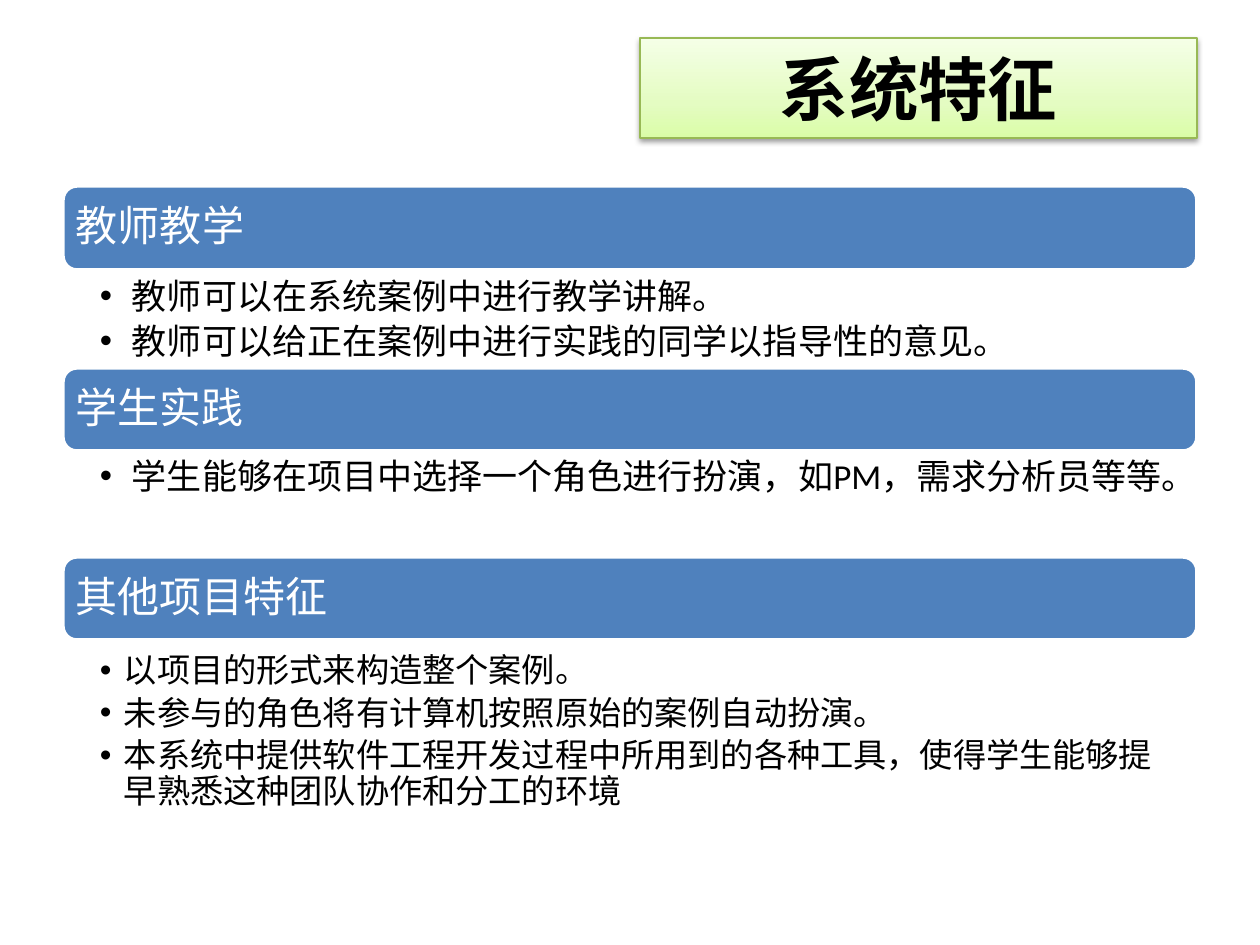
from dataclasses import dataclass

from pptx import Presentation
from pptx.dml.color import RGBColor
from pptx.enum.shapes import MSO_SHAPE
from pptx.enum.text import MSO_ANCHOR, PP_ALIGN
from pptx.oxml import parse_xml
from pptx.oxml.ns import nsdecls
from pptx.slide import Slide
from pptx.text.text import TextFrame
from pptx.util import Emu, Pt

PIXEL = 914400 // 126
LEFT, WIDTH = 63, 1134
FONT = "Calibri"
BLACK, WHITE, BLUE, GREEN = "000000", "FFFFFF", "4F81BD", "98B955"
TITLE_STOPS = [(0, "DAFDA7"), (35, "E4FCC2"), (100, "F5FFE7")]


@dataclass
class Section:
    heading: str
    heading_top: int
    heading_height: int
    body_top: int
    body_height: int
    right_margin: int
    indent: int
    size: int
    points: list[str]


SECTIONS = [
    Section("教师教学", 186, 84, 275, 115, 20, 32, 20, [
        "教师可以在系统案例中进行教学讲解。",
        "教师可以给正在案例中进行实践的同学以指导性的意见。",
    ]),
    Section("学生实践", 368, 83, 455, 115, 20, 32, 20, [
        "学生能够在项目中选择一个角色进行扮演，如PM，需求分析员等等。",
    ]),
    Section("其他项目特征", 557, 83, 650, 181, 24, 24, 19, [
        "以项目的形式来构造整个案例。",
        "未参与的角色将有计算机按照原始的案例自动扮演。",
        "本系统中提供软件工程开发过程中所用到的各种工具，使得学生能够提早熟悉这种团队协作和分工的环境",
    ]),
]


def px(value: int) -> Emu:
    return Emu(value * PIXEL)


def color(value: str) -> RGBColor:
    return RGBColor.from_string(value)


def set_font(paragraph, size: float, value: str, bold: bool = False) -> None:
    font = paragraph.font
    font.name, font.size, font.bold = FONT, Pt(size), bold
    font.color.rgb = color(value)


def set_margins(frame: TextFrame, left: int, top: int, right: int, bottom: int) -> None:
    frame.margin_left, frame.margin_top = px(left), px(top)
    frame.margin_right, frame.margin_bottom = px(right), px(bottom)


def add_bullet(paragraph, indent: int) -> None:
    properties = paragraph._p.get_or_add_pPr()
    properties.set("marL", str(px(indent)))
    properties.set("indent", str(-px(indent)))
    properties.append(parse_xml(f'<a:buFont {nsdecls("a")} typeface="Arial"/>'))
    properties.append(parse_xml(f'<a:buChar {nsdecls("a")} char="•"/>'))


def format_title(slide: Slide) -> None:
    title = slide.shapes.title
    title.left, title.top, title.width, title.height = map(px, (640, 38, 557, 100))
    title.line.color.rgb = color(GREEN)
    title.line.width = Pt(0.75)
    stops = "".join(
        f'<a:gs pos="{position * 1000}"><a:srgbClr val="{value}"/></a:gs>'
        for position, value in TITLE_STOPS
    )
    title.line._ln.addprevious(parse_xml(
        f'<a:gradFill {nsdecls("a")} rotWithShape="1"><a:gsLst>{stops}</a:gsLst>'
        '<a:lin ang="16200000" scaled="1"/></a:gradFill>'
    ))
    title.line._ln.addnext(parse_xml(
        f'<a:effectLst {nsdecls("a")}><a:outerShdw blurRad="{Pt(3.1)}" dist="{Pt(1.6)}" '
        f'dir="5400000" rotWithShape="0"><a:srgbClr val="{BLACK}"><a:alpha val="38000"/>'
        '</a:srgbClr></a:outerShdw></a:effectLst>'
    ))
    frame = title.text_frame
    frame.text = "系统特征"
    frame.vertical_anchor = MSO_ANCHOR.MIDDLE
    paragraph = frame.paragraphs[0]
    paragraph.alignment = PP_ALIGN.CENTER
    set_font(paragraph, 39.6, BLACK, bold=True)


def add_heading(slide: Slide, section: Section) -> None:
    bar = slide.shapes.add_shape(
        MSO_SHAPE.ROUNDED_RECTANGLE,
        px(LEFT), px(section.heading_top), px(WIDTH), px(section.heading_height),
    )
    bar.shadow.inherit = False
    bar.fill.solid()
    bar.fill.fore_color.rgb = color(BLUE)
    bar.line.color.rgb = color(WHITE)
    bar.line.width = Pt(2)
    frame = bar.text_frame
    frame.text = section.heading
    frame.vertical_anchor = MSO_ANCHOR.MIDDLE
    set_margins(frame, 9, 9, 9, 9)
    paragraph = frame.paragraphs[0]
    paragraph.alignment = PP_ALIGN.LEFT
    paragraph.line_spacing = 0.9
    set_font(paragraph, 24, WHITE)


def add_points(slide: Slide, section: Section) -> None:
    box = slide.shapes.add_textbox(
        px(LEFT), px(section.body_top), px(WIDTH), px(section.body_height)
    )
    frame = box.text_frame
    frame.word_wrap = True
    set_margins(frame, 37, 4, section.right_margin, 4)
    frame.text = "\n".join(section.points)
    for paragraph in frame.paragraphs:
        paragraph.line_spacing = 0.9
        paragraph.space_after = Pt(section.size * 0.2)
        add_bullet(paragraph, section.indent)
        set_font(paragraph, section.size, BLACK)


def main() -> None:
    presentation = Presentation()
    presentation.slide_width, presentation.slide_height = px(1260), px(945)
    slide = presentation.slides.add_slide(presentation.slide_layouts[5])
    format_title(slide)
    for section in SECTIONS:
        add_heading(slide, section)
        add_points(slide, section)
    presentation.save("out.pptx")


main()
